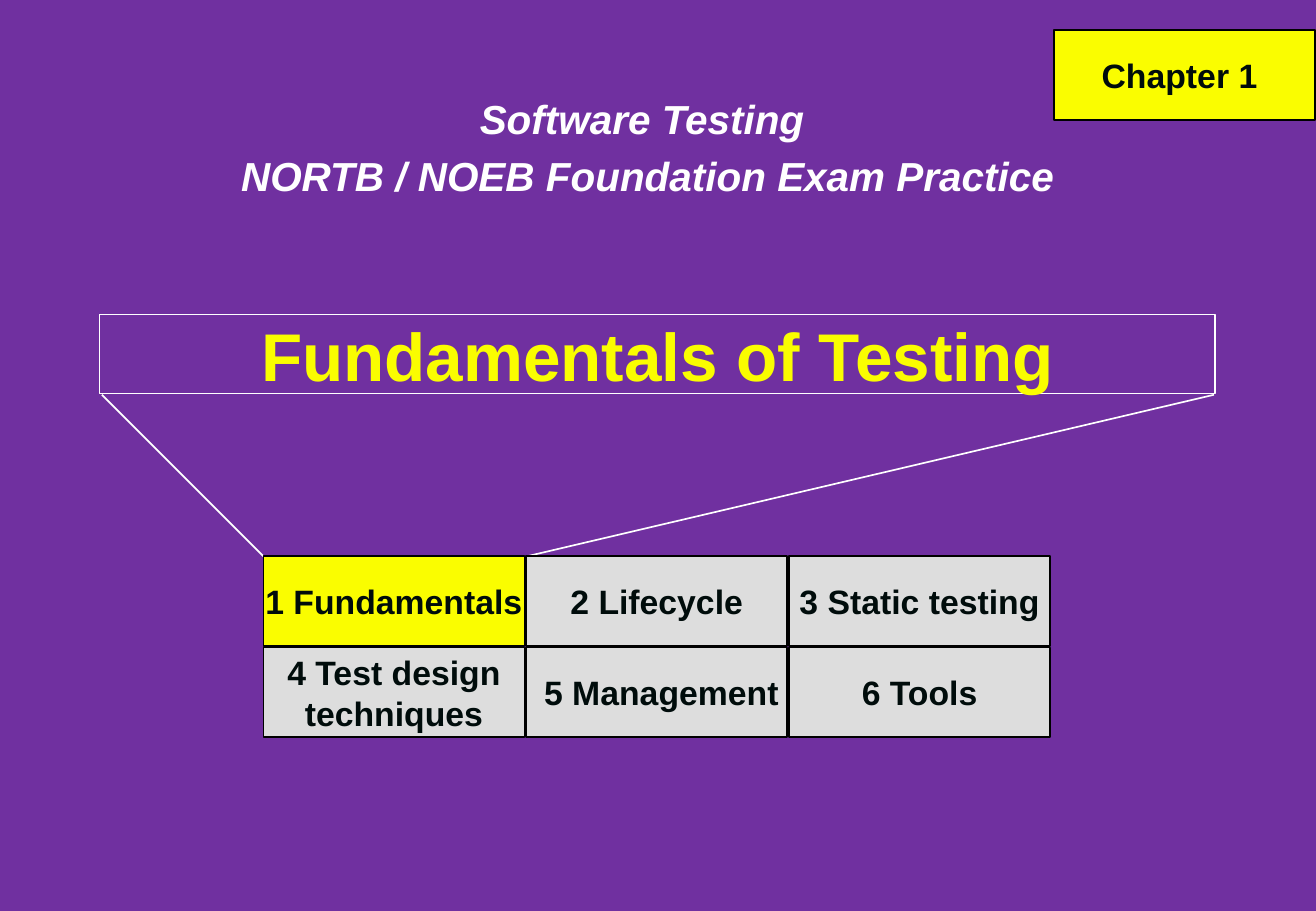
"""Build the chapter 1 opening slide with its grid of course chapters."""
import pptx
import pptx.util
import pptx.dml.color
import pptx.enum.shapes
import pptx.enum.text
import pptx.oxml.ns
from lxml import etree
from pptx.util import Inches

COLORS = {"purple": "7030A0", "yellow": "FAFD00", "grey": "DDDDDD",
          "white": "FFFFFF", "black": "000000", "ink": "000C0B"}
BOX_W, BOX_H = 2.15, 0.74
GRID_LEFT, GRID_TOP = 2.17, 4.58
STEP_X, STEP_Y = 2.165, 0.75


def rgb(name):
    return pptx.dml.color.RGBColor.from_string(COLORS[name])


def write(tf, text, size, color, italic=False):
    tf.text = text
    tf.auto_size = pptx.enum.text.MSO_AUTO_SIZE.NONE
    for p in tf.paragraphs:
        p.alignment = pptx.enum.text.PP_ALIGN.CENTER
        for r in p.runs:
            r.font.name = "Arial"
            r.font.size = pptx.util.Pt(size)
            r.font.bold = True
            r.font.italic = italic
            r.font.color.rgb = rgb(color)


prs = pptx.Presentation()
prs.slide_width, prs.slide_height = Inches(10.84), Inches(7.5)
s = prs.slides.add_slide(prs.slide_layouts[5])
s.background.fill.solid()
s.background.fill.fore_color.rgb = rgb("purple")

title = s.shapes.title
title.left, title.top = Inches(0.82), Inches(2.59)
title.width, title.height = Inches(9.19), Inches(0.65)
title.line.color.rgb = rgb("white")
title.line.width = pptx.util.Pt(1)
write(title.text_frame, "Fundamentals of Testing", 40, "yellow")
title.text_frame.vertical_anchor = pptx.enum.text.MSO_ANCHOR.MIDDLE

for x1, y1, x2, y2 in [(0.84, 3.25, GRID_LEFT, GRID_TOP), (4.34, GRID_TOP, 10, 3.25)]:
    line = s.shapes.add_connector(pptx.enum.shapes.MSO_CONNECTOR.STRAIGHT,
                                  Inches(x1), Inches(y1), Inches(x2), Inches(y2))
    line.line.color.rgb = rgb("white")
    line.line.width = pptx.util.Pt(1)
    etree.SubElement(line._element.spPr, pptx.oxml.ns.qn("a:effectLst"))

chapters = ["1 Fundamentals", "2 Lifecycle", "3 Static testing",
            "4 Test design\vtechniques", " 5 Management", "6 Tools"]
boxes = [(GRID_LEFT + i % 3 * STEP_X, GRID_TOP + i // 3 * STEP_Y, text,
          "yellow" if i == 0 else "grey") for i, text in enumerate(chapters)]
boxes.append((8.68, 0.25, "Chapter 1 ", "yellow"))

for x, y, text, fill in boxes:
    sp = s.shapes.add_shape(pptx.enum.shapes.MSO_SHAPE.RECTANGLE,
                            Inches(x), Inches(y), Inches(BOX_W), Inches(BOX_H))
    sp.shadow.inherit = False
    sp.fill.solid()
    sp.fill.fore_color.rgb = rgb(fill)
    sp.line.color.rgb = rgb("black")
    sp.line.width = pptx.util.Pt(1)
    write(sp.text_frame, text, 20, "ink")
    sp.text_frame.word_wrap = False
    sp.text_frame.vertical_anchor = pptx.enum.text.MSO_ANCHOR.MIDDLE

course = s.shapes.add_textbox(Inches(1), Inches(0.67), Inches(8.67), Inches(1))
tf = course.text_frame
write(tf, "Software Testing \nNORTB / NOEB Foundation Exam Practice", 24, "white", italic=True)
tf.word_wrap = True
tf.margin_left = tf.margin_right = Inches(0.07)
tf.margin_top = tf.margin_bottom = Inches(0.03)
for p in tf.paragraphs:
    p.line_spacing = 1.18

prs.save("out.pptx")
